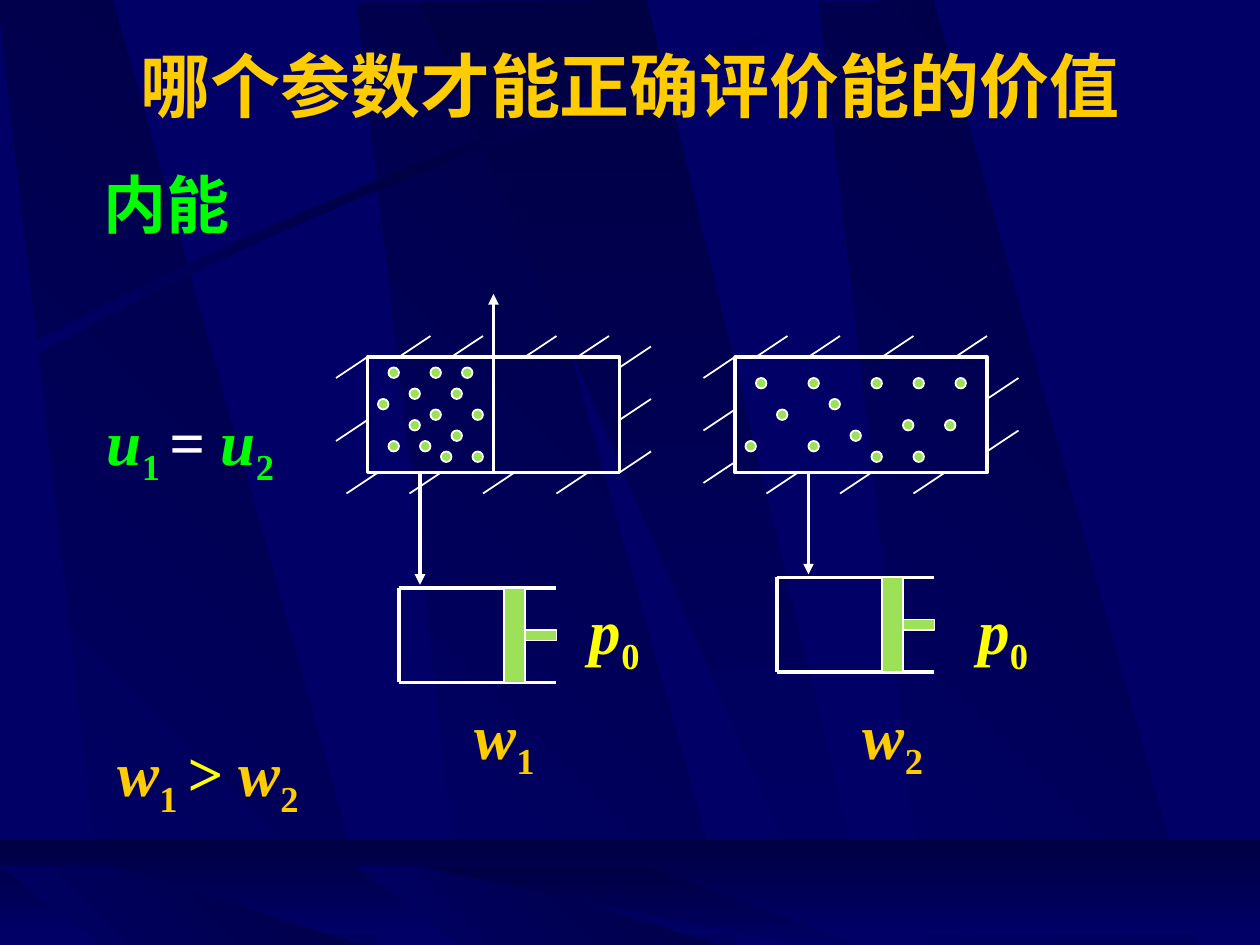
from copy import deepcopy
from lxml import etree
from pptx import Presentation
from pptx import util as u
from pptx.dml.color import RGBColor
from pptx.enum import shapes, text
from pptx.oxml import ns

PX = 7620
FONT = "Times New Roman"
C = {"blue": "000066", "navy": "000044", "gold": "FFCC00", "lime": "00FF00",
     "yellow": "FFFF00", "white": "FFFFFF", "gas": "9CE157"}
BEAM = [(103, 899), (362, 901), (109, -1), (0, 1)]
FLOOR_BEAM = [(103, 80), (362, 81), (109, 0), (0, 0)]
HATCH = (30, -20)


def rgb(name):
    return RGBColor.from_string(C[name])


def gradient(sp, names, angle):
    fill = sp.fill
    fill.gradient()
    stops = sp._element.spPr.find(".//" + ns.qn("a:gsLst"))
    for _ in names[2:]:
        stops.append(deepcopy(stops[-1]))
    for i, (stop, name) in enumerate(zip(fill.gradient_stops, names)):
        stop.position = i / (len(names) - 1)
        stop.color.rgb = rgb(name)
    fill.gradient_angle = angle
    sp.line.fill.background()
    sp.shadow.inherit = False


def polygon(s, points, names, angle, dx=0, dy=0):
    points = [(x + dx, y + dy) for x, y in points]
    fb = s.shapes.build_freeform(*points[0], scale=PX)
    fb.add_line_segments(points[1:], close=True)
    gradient(fb.convert_to_shape(), names, angle)


def curve(a, b, c, d, steps=16):
    def point(t):
        k = 1 - t
        return tuple(round(k**3 * p + 3 * k * k * t * q + 3 * k * t * t * m + t**3 * n)
                     for p, q, m, n in zip(a, b, c, d))
    return [point(i / steps) for i in range(steps + 1)]


def shape(s, kind, x, y, w, h, fill=None, weight=1):
    sp = s.shapes.add_shape(kind, x * PX, y * PX, w * PX, h * PX)
    sp.shadow.inherit = False
    if fill:
        sp.fill.solid()
        sp.fill.fore_color.rgb = rgb(fill)
    else:
        sp.fill.background()
    sp.line.color.rgb = rgb("white")
    sp.line.width = u.Pt(weight)
    return sp


def line(s, x1, y1, x2, y2, weight=2, arrow=False):
    ln = s.shapes.add_connector(shapes.MSO_CONNECTOR.STRAIGHT,
                                x1 * PX, y1 * PX, x2 * PX, y2 * PX)
    ln.line.color.rgb = rgb("white")
    ln.line.width = u.Pt(weight)
    if arrow:
        etree.SubElement(ln.line._get_or_add_ln(), ns.qn("a:tailEnd"), type="triangle")
    etree.SubElement(ln._element.spPr, ns.qn("a:effectLst"))


def label(s, x, y, w, h, runs, size=36, top=13):
    sp = s.shapes.add_textbox(x * PX, y * PX, w * PX, h * PX)
    tf = sp.text_frame
    tf.word_wrap = True
    tf.margin_top = top * PX
    p = tf.paragraphs[0]
    for content, color, style in runs:
        r = p.add_run()
        r.text = content
        r.font.name, r.font.size, r.font.bold = FONT, u.Pt(size), True
        r.font.italic = style == "italic"
        r.font.color.rgb = rgb(color)
        if style == "sub":
            r.font._element.set("baseline", "-25000")
    return tf, p


def symbol(letter, index, color):
    return [(letter, color, "italic"), (index, color, "sub")]


def background(s):
    s.background.fill.solid()
    s.background.fill.fore_color.rgb = rgb("blue")
    fade, rise = ["blue", "navy"], ["navy", "blue"]
    for dx, dy in ((340, 2), (-2, -1), (780, 1)):
        polygon(s, BEAM, fade, 45, dx, dy)
    polygon(s, [(400, 1), (790, 901), (833, 901), (616, 0)], rise, 270)
    ray = (curve((24, 330), (341, 161), (629, 71), (751, 22))
           + curve((755, 29), (634, 83), (305, 181), (28, 342)))
    polygon(s, ray, ["blue", "navy", "blue"], 0)
    floor = shape(s, shapes.MSO_SHAPE.RECTANGLE, 0, 800, 1200, 90)
    gradient(floor, rise, 270)
    for dx in (340, 0):
        polygon(s, FLOOR_BEAM, fade, 45, dx, 825)
    polygon(s, [(400, 825), (790, 906), (833, 906), (616, 825)], rise, 270)


def vessel(s, x, dots, hatches):
    shape(s, shapes.MSO_SHAPE.RECTANGLE, x, 340, 240, 110, weight=2)
    for dx, dy in dots:
        shape(s, shapes.MSO_SHAPE.OVAL, x + dx, 340 + dy, 10, 10, "gas")
    for dx, dy in hatches:
        x1, y1 = x + dx, 340 + dy
        line(s, x1, y1, x1 + HATCH[0], y1 + HATCH[1], 1)


def cylinder(s, x, y, feed):
    line(s, feed, 450, feed, y - 3, arrow=True)
    line(s, x, y, x + 150, y)
    line(s, x, y, x, y + 90)
    line(s, x, y + 90, x + 150, y + 90)
    shape(s, shapes.MSO_SHAPE.RECTANGLE, x + 100, y, 20, 90, "gas")
    shape(s, shapes.MSO_SHAPE.RECTANGLE, x + 120, y + 40, 30, 10, "gas")


def main():
    prs = Presentation()
    prs.slide_width, prs.slide_height = 1200 * PX, 900 * PX
    s = prs.slides.add_slide(prs.slide_layouts[6])
    background(s)

    tf, p = label(s, 90, 34, 1020, 92,
                  [("哪个参数才能正确评价能的价值", "gold", "plain")], 40, 6)
    tf.vertical_anchor = text.MSO_ANCHOR.MIDDLE
    p.alignment = text.PP_ALIGN.CENTER
    tf, p = label(s, 60, 160, 200, 80, [("内能", "lime", "plain")], top=6)
    tf.margin_left = 39 * PX
    p.line_spacing = 0.9
    label(s, 90, 370, 210, 70, symbol("u", "1 ", "lime")
          + [("= ", "white", "plain")] + symbol("u", "2", "lime"))

    vessel(s, 350,
           [(20, 10), (40, 30), (60, 50), (80, 70), (100, 90), (80, 30), (90, 10),
            (40, 60), (10, 40), (50, 80), (100, 50), (60, 10), (70, 90), (20, 80)],
           [(30, 0), (80, 0), (150, 0), (200, 0), (240, 10), (240, 60), (240, 110),
            (-20, 130), (40, 130), (110, 130), (180, 130), (-30, 20), (-30, 80)])
    line(s, 470, 450, 470, 280, arrow=True)
    vessel(s, 700,
           [(20, 20), (200, 60), (130, 90), (40, 50), (10, 80), (90, 40), (110, 70),
            (130, 20), (70, 20), (70, 80), (160, 60), (170, 90), (170, 20), (210, 20)],
           [(20, 0), (70, 0), (140, 0), (210, 0), (240, 40), (240, 90),
            (30, 130), (100, 130), (170, 130), (-30, 20), (-30, 70), (-30, 120)])

    cylinder(s, 380, 560, 400)
    cylinder(s, 740, 550, 770)
    for x, h in ((550, 80), (920, 70)):
        label(s, x, 550, 100, h, symbol("p", "0", "yellow"))
    for x, index in ((440, "1"), (810, "2")):
        label(s, x, 650, 90, 70, symbol("w", index, "gold"))
    label(s, 100, 686, 220, 95, symbol("w", "1 ", "gold")
          + [("> ", "yellow", "italic")] + symbol("w", "2", "gold"))
    prs.save("out.pptx")


if __name__ == "__main__":
    main()
